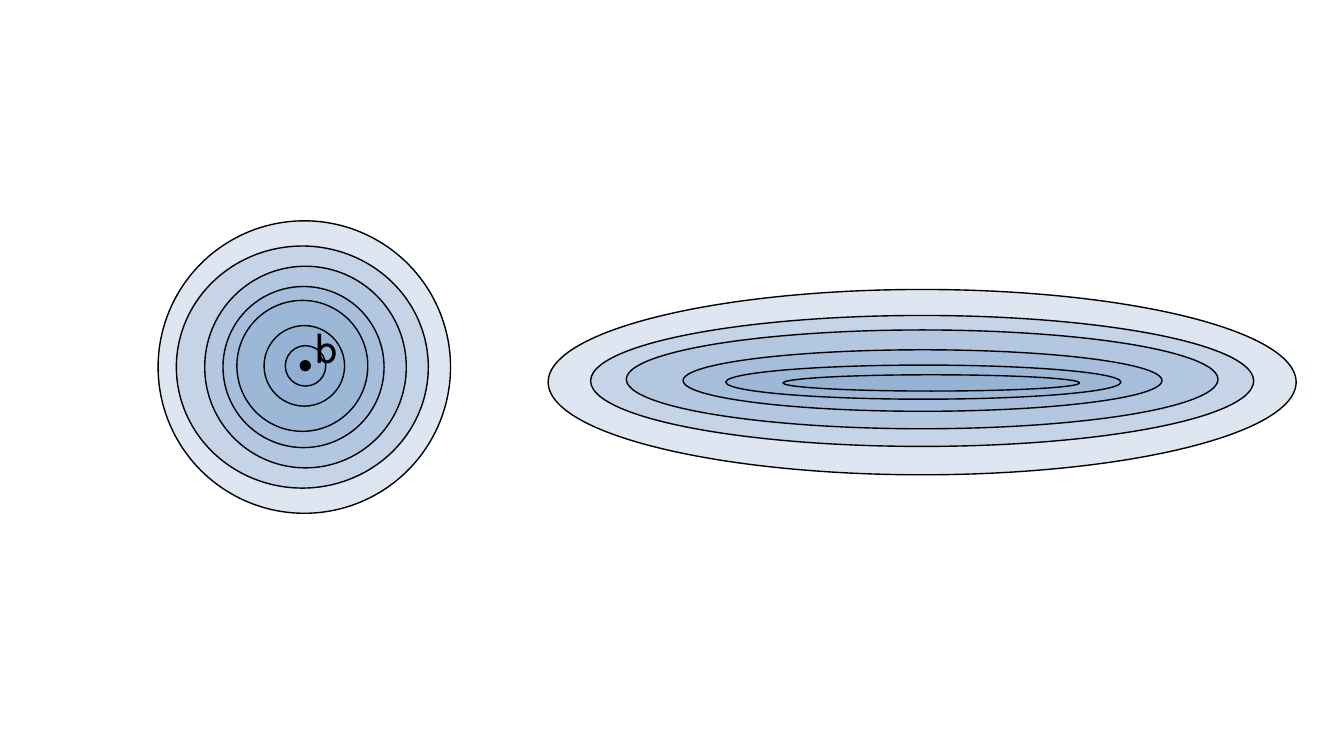
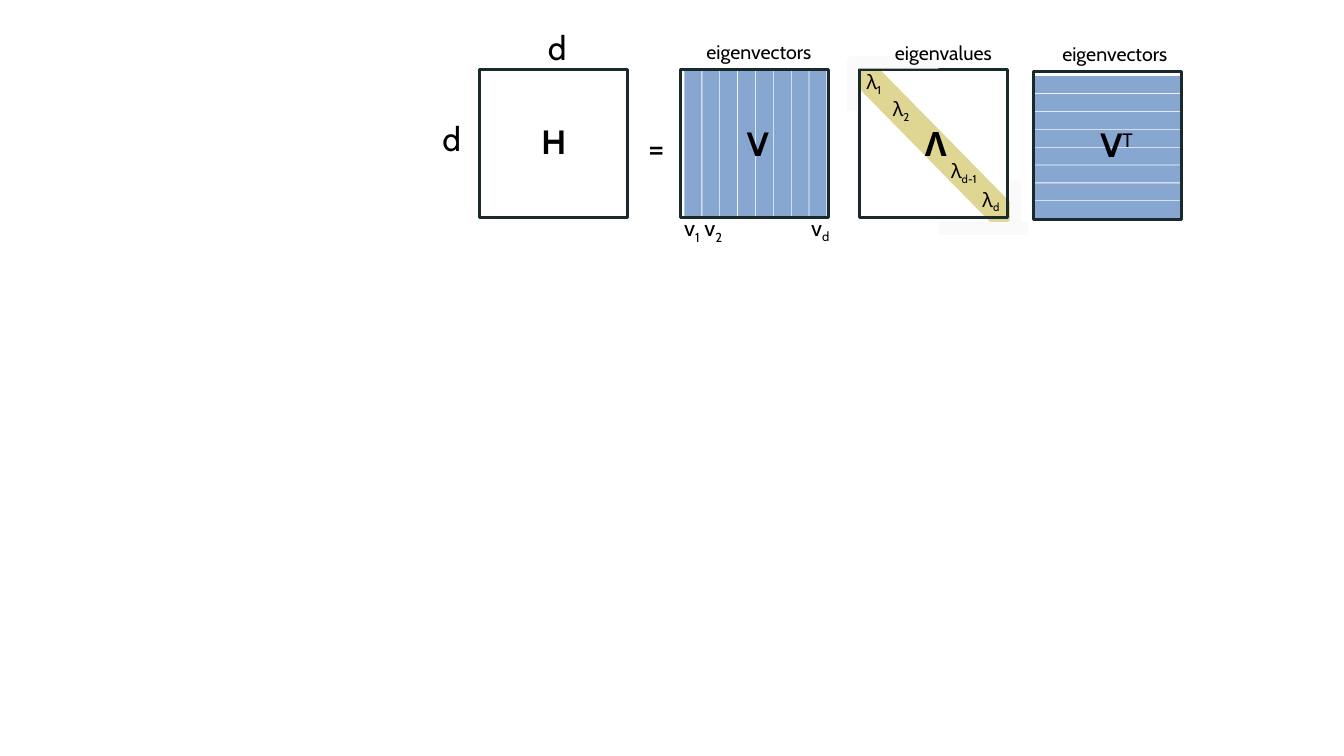
from lxml import etree
from pptx import Presentation
from pptx.dml.color import RGBColor
from pptx.enum.shapes import MSO_SHAPE
from pptx.enum.text import MSO_AUTO_SIZE, PP_ALIGN
from pptx.oxml.ns import qn
from pptx.util import Cm, Pt

RECT, OVAL = MSO_SHAPE.RECTANGLE, MSO_SHAPE.OVAL
LEFT, CENTER = PP_ALIGN.LEFT, PP_ALIGN.CENTER
FIT = MSO_AUTO_SIZE.SHAPE_TO_FIT_TEXT
FONT = "Cabin"
COLORS = {"blue": "87A7D0", "sand": "DFD693", "frame": "1A2A2C",
          "mask": "FAFAFA", "black": "000000"}
SUB, SUPER = -25, 30

prs = Presentation()
prs.slide_width, prs.slide_height = Cm(33.87), Cm(19.05)
blank = prs.slide_layouts[6]


def add_shape(shapes, kind, x, y, w, h, fill=None, line=None, weight=1, opacity=100):
    sp = shapes.add_shape(kind, Cm(x), Cm(y), Cm(w), Cm(h))
    sp.shadow.inherit = False
    if fill:
        sp.fill.solid()
        sp.fill.fore_color.rgb = RGBColor.from_string(COLORS[fill])
        if opacity < 100:
            clr = sp._element.spPr.find(qn("a:solidFill")).find(qn("a:srgbClr"))
            etree.SubElement(clr, qn("a:alpha")).set("val", str(opacity * 1000))
    else:
        sp.fill.background()
    if line:
        sp.line.color.rgb = RGBColor.from_string(COLORS[line])
        sp.line.width = Pt(weight)
    else:
        sp.line.fill.background()
    return sp


def add_text(shapes, x, y, w, text, size, align=LEFT, bold=False, script="", shift=SUB):
    """Add a label, optionally followed by a sub- or superscript."""
    tf = shapes.add_textbox(Cm(x), Cm(y), Cm(w), Cm(0.04 * size + 0.29)).text_frame
    tf.word_wrap = True
    tf.auto_size = FIT
    p = tf.paragraphs[0]
    p.text = text
    p.alignment = align
    p.runs[0].font.bold = bold
    if script:
        r = p.add_run()
        r.text = script
        r._r.get_or_add_rPr().set("baseline", str(shift * 1000))
    for r in p.runs:
        r.font.name = FONT
        r.font.size = Pt(size)
        r.font.color.rgb = RGBColor.from_string(COLORS["black"])


# Slide 1: contour lines of a round and of a stretched bowl
s = prs.slides.add_slide(blank)
contours = [  # centre x, centre y, width, height
    (23.24, 9.63, 18.85, 4.67),
    (7.67, 9.25, 7.37, 7.37),
    (7.62, 9.25, 6.35, 6.1),
    (7.7, 9.25, 5.08, 5.08),
    (7.65, 9.25, 4.06, 4.06),
    (7.62, 9.22, 3.3, 3.3),
    (7.67, 9.22, 2.03, 2.03),
    (7.7, 9.22, 1.02, 1.02),
    (23.24, 9.6, 16.71, 3.3),
    (23.24, 9.56, 14.91, 2.49),
    (23.25, 9.59, 12.07, 1.55),
    (23.27, 9.63, 9.96, 0.86),
    (23.47, 9.65, 7.47, 0.41),
]
for cx, cy, w, h in contours:
    add_shape(s.shapes, OVAL, cx - w / 2, cy - h / 2, w, h, "blue", "black", opacity=28)

# Minimum
add_shape(s.shapes, OVAL, 7.57, 9.09, 0.25, 0.25, "black", "black")
add_text(s.shapes, 7.7, 8.05, 1.45, "b", 28)

# Slide 2: eigendecomposition H = V Λ Vᵀ
s = prs.slides.add_slide(blank)
SIDE, STRIPE, PITCH, STRIPES = 3.73, 0.43, 0.45, 8
TOP, FRAME = 1.75, 2.25
H_X, V_X, L_X, VT_X, VT_Y = 12.09, 17.15, 21.67, 26.04, 1.8

# Diagonal band, with masks over its ends
band = add_shape(s.shapes, RECT, 23.16, 0.89, 0.71, 5.46, "sand")
band.rotation = 315.5
for x in (H_X, L_X):
    add_shape(s.shapes, RECT, x, TOP, SIDE, SIDE, line="frame", weight=FRAME)
for x, y, w, h in [(23.65, 5.59, 2.26, 0.33), (21.39, 1.4, 2.26, 0.33),
                   (21.34, 1.52, 0.28, 1.27), (25.45, 4.55, 0.28, 1.27)]:
    add_shape(s.shapes, RECT, x, y, w, h, "mask")

# Striped matrices: V by columns, its transpose by rows
columns = s.shapes.add_group_shape().shapes
rows = s.shapes.add_group_shape().shapes
for i in range(STRIPES):
    add_shape(columns, RECT, V_X + 0.1 + i * PITCH, TOP, STRIPE, SIDE, "blue")
    add_shape(rows, RECT, VT_X, VT_Y + 0.12 + i * PITCH, SIDE, STRIPE, "blue")
add_shape(columns, RECT, V_X, TOP, SIDE, SIDE, line="frame", weight=FRAME)
add_shape(rows, RECT, VT_X, VT_Y, SIDE, SIDE, line="frame", weight=FRAME)

# Matrix names and equals sign
add_text(s.shapes, H_X, 2.92, SIDE, "H", 24, CENTER, bold=True)
add_text(s.shapes, 16.08, 3.07, 1.02, "=", 24)
add_text(s.shapes, 18.57, 2.97, 1.63, "V", 24, bold=True)
add_text(s.shapes, 23.06, 2.97, 1.4, "Λ", 24, bold=True)
add_text(s.shapes, 27.48, 3, 1.63, "V", 24, bold=True, script="T", shift=SUPER)

# Dimensions of H
for x, y in [(10.9, 2.84), (13.56, 0.56)]:
    add_text(s.shapes, x, y, 1.4, "d", 24)

# Captions
for x, y, caption in [(16.46, 0.89, "eigenvectors"), (21.11, 0.91, "eigenvalues"),
                      (25.43, 0.94, "eigenvectors")]:
    add_text(s.shapes, x, y, 5.33, caption, 14, CENTER)

# Eigenvalues and eigenvectors with their indices
for x, y, w, symbol, index, size in [
    (21.59, 1.63, 1.4, "λ", "1", 14),
    (22.25, 2.31, 1.4, "λ", "2", 14),
    (23.72, 3.89, 1.83, "λ", "d-1", 14),
    (24.51, 4.6, 1.4, "λ", "d", 14),
    (16.99, 5.28, 1.45, "v", "1", 16),
    (17.5, 5.28, 1.45, "v", "2", 16),
    (20.19, 5.26, 1.45, "v", "d", 16),
]:
    add_text(s.shapes, x, y, w, symbol, size, script=index)

prs.save("out.pptx")
